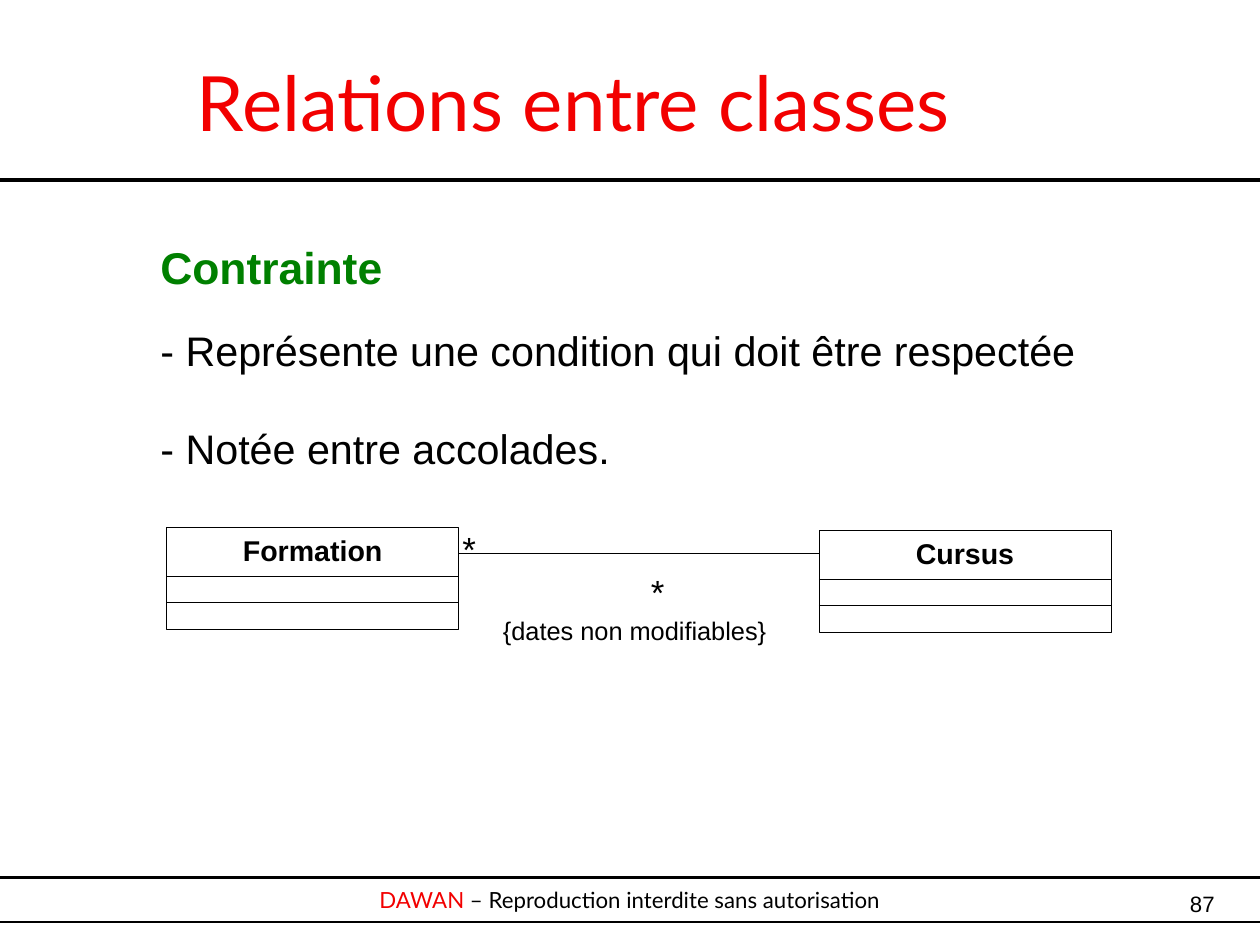
from lxml import etree
from pptx import Presentation
from pptx.dml.color import RGBColor
from pptx.enum import shapes, text
from pptx.oxml.ns import qn
from pptx.util import Pt

RED = RGBColor(0xF2, 0x00, 0x00)
GREEN = RGBColor(0x00, 0x80, 0x00)
BLACK = RGBColor(0x00, 0x00, 0x00)
LEFT, CENTER, RIGHT = text.PP_ALIGN.LEFT, text.PP_ALIGN.CENTER, text.PP_ALIGN.RIGHT
TOP, MIDDLE = text.MSO_ANCHOR.TOP, text.MSO_ANCHOR.MIDDLE

# Content
TITLE = "Relations entre classes"
BODY = [  # text, size, colour, bold, space before
    ("Contrainte", 28, GREEN, True, 0),
    ("- Représente une condition qui doit être respectée", 26, BLACK, False, 20),
    ("- Notée entre accolades.", 26, BLACK, False, 31),
]
CLASSES = [("Formation", 105, 332), ("Cursus", 515.9, 333.8)]  # name, left, top
LABELS = [  # text, size, alignment, left indent, space before
    ("*", 22, LEFT, 0, 0),
    ("*", 22, CENTER, 29, 1),
    ("{dates non modifiables}", 16, CENTER, 0, 1.5),
]
FOOTER = [("DAWAN", RED), (" – Reproduction interdite sans autorisation", BLACK)]
PAGE_NUMBER = "87"

WIDTH, HEIGHT = 793.75, 595.25
CLASS_WIDTH, CLASS_HEIGHT = 184, 64.5
DIVIDERS = (31.2, 47.3)
HAIRLINE = 0.5


def set_frame(frame, top_inset=0, anchor=TOP):
    frame.word_wrap = True
    frame.auto_size = text.MSO_AUTO_SIZE.NONE
    frame.vertical_anchor = anchor
    frame.margin_left = frame.margin_right = frame.margin_bottom = 0
    frame.margin_top = Pt(top_inset)


def style(para, size, color=BLACK, bold=False, name="Arial", align=CENTER):
    para.alignment = align
    font = para.font
    font.name, font.size, font.bold = name, Pt(size), bold
    font.color.rgb = color


def add_frame(left, top, width, height):
    box = page.shapes.add_textbox(Pt(left), Pt(top), Pt(width), Pt(height))
    set_frame(box.text_frame)
    return box.text_frame


def add_para(frame, content, before=0):
    first = frame.paragraphs[0]
    para = frame.add_paragraph() if first.text else first
    para.text = content
    para.space_before = Pt(before)
    return para


def add_line(x1, y1, x2, y2, weight):
    line = page.shapes.add_connector(
        shapes.MSO_CONNECTOR.STRAIGHT, Pt(x1), Pt(y1), Pt(x2), Pt(y2))
    line.line.color.rgb = BLACK
    line.line.width = Pt(weight)
    etree.SubElement(line._element.spPr, qn("a:effectLst"))


def add_rectangle(left, top, width, height, weight):
    box = page.shapes.add_shape(
        shapes.MSO_SHAPE.RECTANGLE, Pt(left), Pt(top), Pt(width), Pt(height))
    box.shadow.inherit = False
    box.fill.background()
    box.line.color.rgb = BLACK
    box.line.width = Pt(weight)
    return box


deck = Presentation()
deck.slide_width, deck.slide_height = Pt(WIDTH), Pt(HEIGHT)
page = deck.slides.add_slide(deck.slide_layouts[5])

# Title and rule
title = page.shapes.title
title.left, title.top, title.width, title.height = Pt(28.2), Pt(14.2), Pt(666), Pt(99.2)
title.text_frame.text = TITLE
set_frame(title.text_frame, anchor=MIDDLE)
style(title.text_frame.paragraphs[0], 48, RED, name="Lato")
add_line(0, 113.3, WIDTH, 113.3, 2.83)

# Body
body = add_frame(101, 151, 636, 145)
for content, size, color, bold, before in BODY:
    style(add_para(body, content, before), size, color, bold, align=LEFT)

# Class diagram
add_line(CLASSES[0][1] + CLASS_WIDTH, 348.5, CLASSES[1][1], 348.5, HAIRLINE)
for name, left, top in CLASSES:
    box = add_rectangle(left, top, CLASS_WIDTH, CLASS_HEIGHT, HAIRLINE)
    set_frame(box.text_frame, top_inset=3.6)
    style(add_para(box.text_frame, name), 18, bold=True)
    for offset in DIVIDERS:
        add_line(left, top + offset, left + CLASS_WIDTH, top + offset, HAIRLINE)

# Multiplicities and constraint
labels = add_frame(291.3, 332.3, 217, 95)
for content, size, align, indent, before in LABELS:
    para = add_para(labels, content, before)
    para._p.get_or_add_pPr().set("marL", str(Pt(indent)))
    style(para, size, align=align)

# Footer
footer = add_rectangle(-14.4, 552.7, 822.3, 28.1, 1.42)
set_frame(footer.text_frame, anchor=MIDDLE)
para = footer.text_frame.paragraphs[0]
style(para, 14, name="Lato")
for content, color in FOOTER:
    span = para.add_run()
    span.text = content
    span.font.color.rgb = color
number = add_frame(737, 561, 28.3, 30)
style(add_para(number, PAGE_NUMBER), 14, align=RIGHT)

deck.save("out.pptx")
